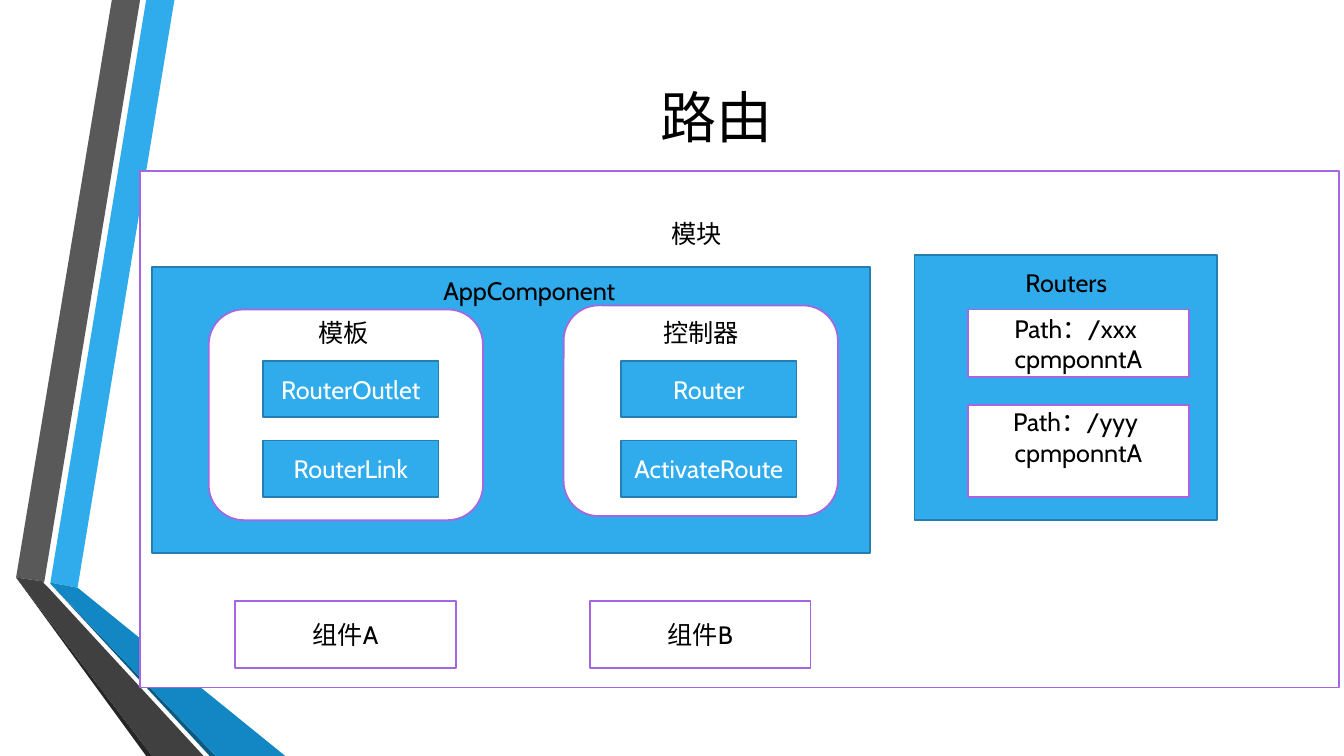
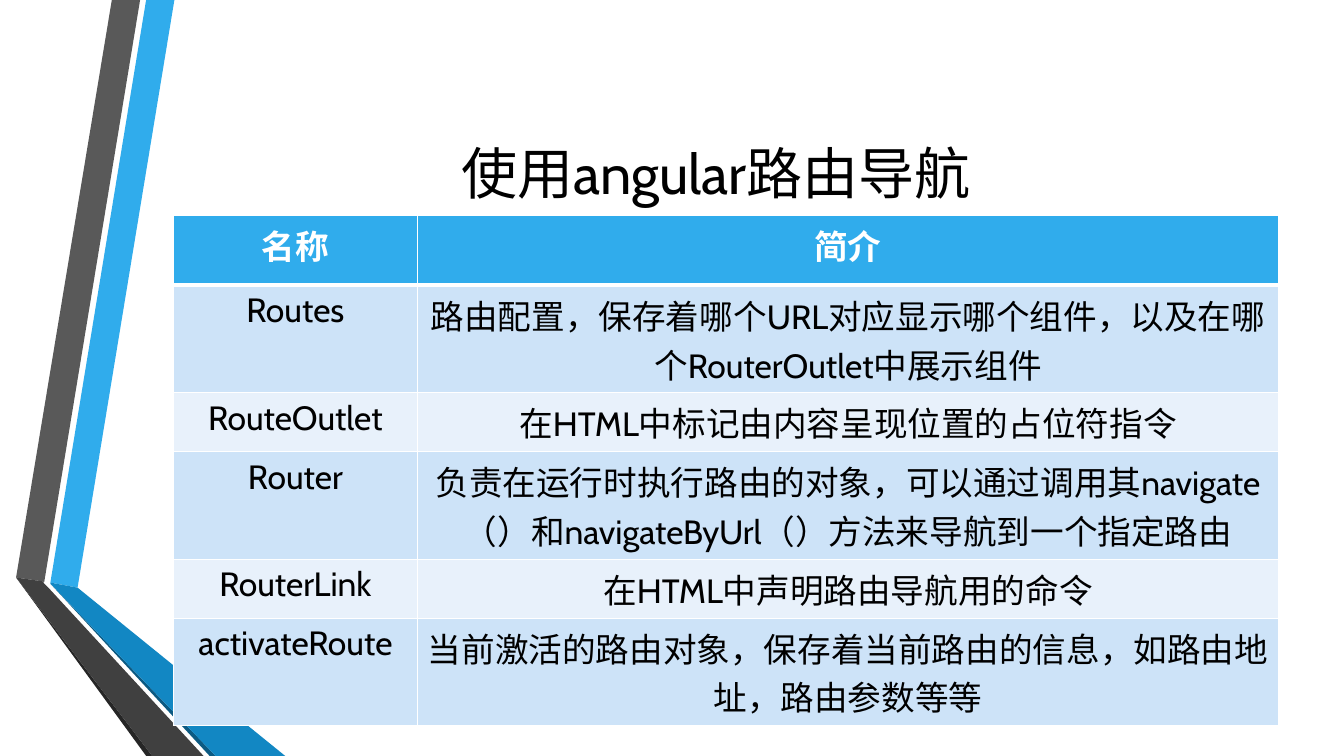
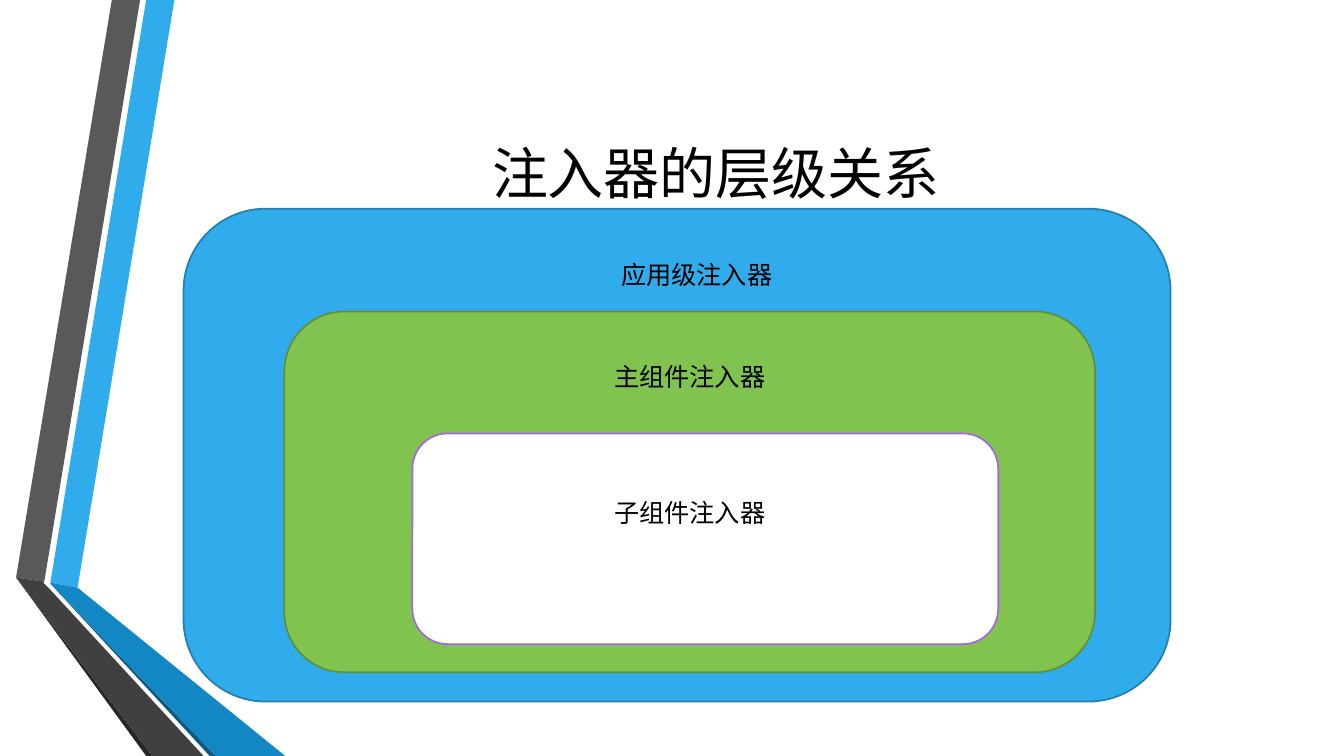
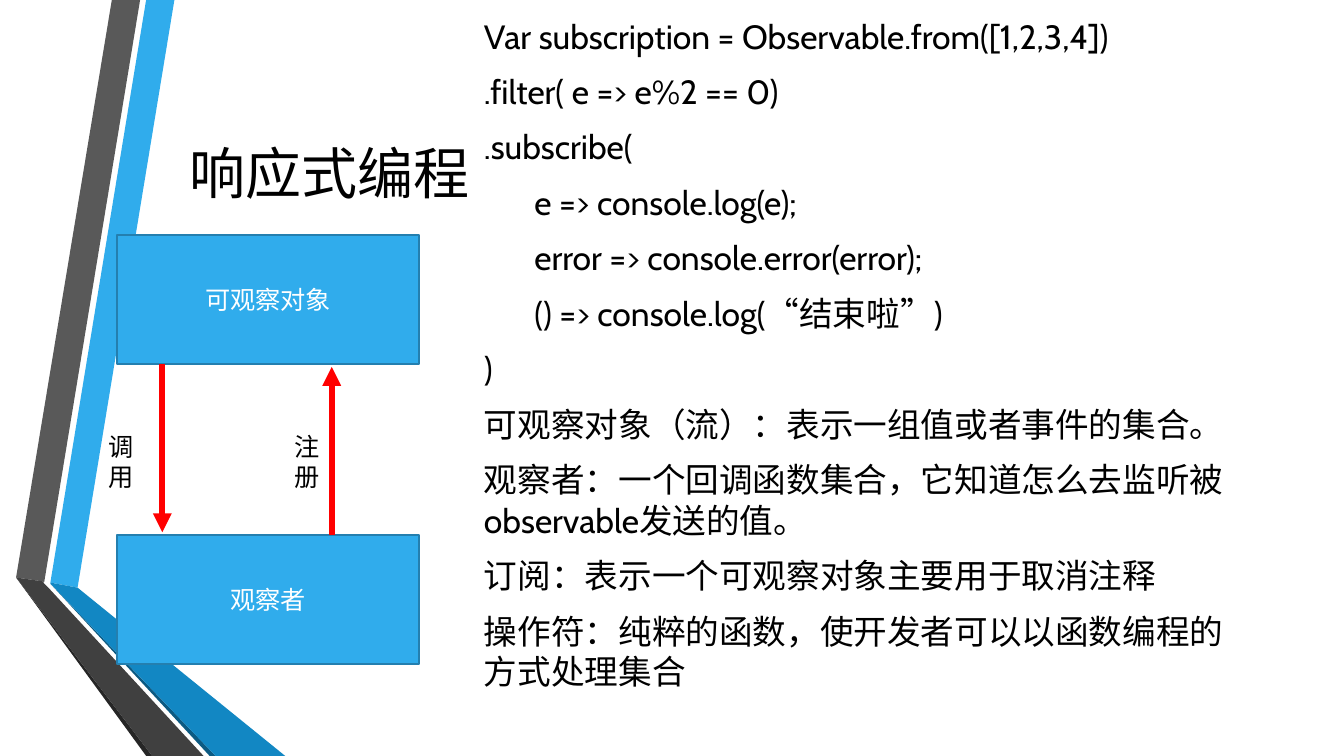
from lxml.etree import SubElement
from pptx import Presentation
from pptx.dml.color import RGBColor
from pptx.enum.shapes import MSO_CONNECTOR as Connector, MSO_SHAPE as Preset
from pptx.enum.text import MSO_ANCHOR as Anchor, MSO_AUTO_SIZE as AutoSize, PP_ALIGN as Align
from pptx.oxml.ns import qn
from pptx.util import Pt

PX = 9144  # 100 px to the inch
FONT = "Cabin"
COLORS = {
    "black": "000000", "white": "FFFFFF", "red": "FF0000",
    "blue": "30ACEC", "blue_edge": "247FAF", "green": "80C34F", "green_edge": "5F903A",
    "purple": "A666E1", "gray": "595959", "dark_gray": "404040", "shade": "262626",
    "deep_blue": "1287C3", "blue_shade": "0C5A82",
    "row_dark": "CDE3F8", "row_light": "E8F1FB",
}
# Box styles: fill, line, text colour
BLUE = ("blue", "blue_edge", "white")
GREEN = ("green", "green_edge", "black")
WHITE = ("white", "purple", "black")

RIBBONS = [
    ("blue", [(50, 578), (77, 583), (173, 0), (145, 0)]),
    ("gray", [(139, 0), (111, 0), (16, 573), (44, 577)]),
    ("shade", [(16, 573), (145, 750), (151, 750)]),
    ("blue_shade", [(50, 579), (208, 750), (214, 750)]),
    ("deep_blue", [(50, 579), (214, 750), (283, 750), (77, 583), (50, 578)]),
    ("dark_gray", [(202, 750), (48, 583), (43, 578), (44, 577), (16, 573), (151, 750)]),
]
TABLE_ROWS = [
    ("名称", "简介"),
    ("Routes", "路由配置，保存着哪个URL对应显示哪个组件，以及在哪个RouterOutlet中展示组件"),
    ("RouteOutlet", "在HTML中标记由内容呈现位置的占位符指令"),
    ("Router", "负责在运行时执行路由的对象，可以通过调用其navigate（）和navigateByUrl（）方法来导航到一个指定路由"),
    ("RouterLink", "在HTML中声明路由导航用的命令"),
    ("activateRoute", "当前激活的路由对象，保存着当前路由的信息，如路由地址，路由参数等等"),
]
NOTES = [
    "Var subscription = Observable.from([1,2,3,4])",
    ".filter( e => e%2 == 0)",
    ".subscribe(",
    "\te => console.log(e);",
    "\terror => console.error(error);",
    "\t() => console.log(“结束啦”)",
    ")",
    "可观察对象（流）：表示一组值或者事件的集合。",
    "观察者：一个回调函数集合，它知道怎么去监听被observable发送的值。",
    "订阅：表示一个可观察对象主要用于取消注释",
    "操作符：纯粹的函数，使开发者可以以函数编程的方式处理集合",
]


# Shared helpers
def rgb(name):
    return RGBColor.from_string(COLORS[name])


def emu(box):
    return [length * PX for length in box]


def place(shape, box):
    shape.left, shape.top, shape.width, shape.height = emu(box)


def write(frame, lines, size=18, color="black", align=Align.CENTER, bold=False):
    """Fill a text frame with one single-run paragraph per line."""
    for index, line in enumerate(lines):
        paragraph = frame.paragraphs[0] if index == 0 else frame.add_paragraph()
        paragraph.alignment = align
        run = paragraph.add_run()
        run.text = line
        run.font.name, run.font.size, run.font.bold = FONT, Pt(size), bold
        run.font.color.rgb = rgb(color)


def add_box(slide, box, style, lines=(), preset=Preset.RECTANGLE):
    fill, edge, color = style
    shape = slide.shapes.add_shape(preset, *emu(box))
    shape.shadow.inherit = False
    shape.fill.solid()
    shape.fill.fore_color.rgb = rgb(fill)
    shape.line.color.rgb = rgb(edge)
    shape.line.width = Pt(1.25)
    shape.text_frame.vertical_anchor = Anchor.MIDDLE
    write(shape.text_frame, lines, color=color)
    return shape


def add_label(slide, box, text, align=Align.CENTER):
    frame = slide.shapes.add_textbox(*emu(box)).text_frame
    frame.word_wrap = True
    write(frame, [text], align=align)


def add_titled_slide(presentation, title, box=(162, 75, 1096, 192), layout=5):
    slide = presentation.slides.add_slide(presentation.slide_layouts[layout])
    place(slide.shapes.title, box)
    frame = slide.shapes.title.text_frame
    frame.auto_size = AutoSize.NONE
    frame.vertical_anchor = Anchor.MIDDLE
    write(frame, [title], size=40)
    return slide


def add_ribbons(presentation, slide):
    """Draw the folded ribbons and move them to the master, behind its placeholders."""
    master_tree = presentation.slide_master.shapes.element
    for index, (color, points) in enumerate(RIBBONS):
        builder = slide.shapes.build_freeform(*points[0], scale=PX)
        builder.add_line_segments(points[1:], close=True)
        ribbon = builder.convert_to_shape()
        ribbon.shadow.inherit = False
        ribbon.fill.solid()
        ribbon.fill.fore_color.rgb = rgb(color)
        ribbon.line.fill.background()
        master_tree.insert(2 + index, ribbon.element)


# Routing diagram
def add_card(slide, box, inset, label, items):
    left, top = box[0] + inset[0], box[1] + inset[1]
    add_box(slide, box, WHITE, preset=Preset.ROUNDED_RECTANGLE)
    add_label(slide, (left + 1, top - 48, 157, 40), label)
    for index, item in enumerate(items):
        add_box(slide, (left, top + 79 * index, 174, 56), BLUE, [item])


def add_app_component(slide, box):
    left, top = box[:2]
    add_box(slide, box, BLUE)
    add_label(slide, (left + 279, top + 3, 216, 40), "AppComponent", Align.LEFT)
    add_card(slide, (left + 56, top + 42, 272, 209), (54, 51), "模板", ["RouterOutlet", "RouterLink"])
    add_card(slide, (left + 408, top + 38, 272, 209), (57, 55), "控制器", ["Router", "ActivateRoute"])


def add_routers(slide, box):
    left, top = box[:2]
    add_box(slide, box, BLUE)
    add_label(slide, (left + 72, top + 7, 157, 40), "Routers")
    add_box(slide, (left + 53, top + 54, 219, 67), WHITE, ["Path：/xxx ", "cpmponntA"])
    route = add_box(slide, (left + 53, top + 149, 219, 91), WHITE, ["Path：/yyy ", "cpmponntA"])
    route.text_frame.margin_bottom = 33 * PX


def add_module(slide, box):
    left, top = box[:2]
    add_box(slide, box, WHITE)
    add_label(slide, (left + 438, top + 42, 228, 40), "模块")
    add_app_component(slide, (left + 12, top + 95, 712, 284))
    add_routers(slide, (left + 768, top + 83, 300, 263))
    for index, name in enumerate(["组件A", "组件B"]):
        add_box(slide, (left + 94 + 352 * index, top + 426, 219, 67), WHITE, [name])


# Table
def set_borders(cell, top, bottom):
    properties = cell._tc.get_or_add_tcPr()
    for tag, width in (("lnL", 1), ("lnR", 1), ("lnT", top), ("lnB", bottom)):
        line = SubElement(properties, qn("a:" + tag), w=str(Pt(width)))
        fill = SubElement(line, qn("a:solidFill"))
        SubElement(fill, qn("a:srgbClr"), val=COLORS["white"])


def add_route_table(slide, box):
    table = slide.shapes.add_table(len(TABLE_ROWS), 2, *emu(box)).table
    for column, width in zip(table.columns, (242, 854)):
        column.width = width * PX
    for index, texts in enumerate(TABLE_ROWS):
        header = index == 0
        table.rows[index].height = (69 if header else 41) * PX
        fill = "blue" if header else "row_dark" if index % 2 else "row_light"
        for cell, text in zip(table.rows[index].cells, texts):
            set_borders(cell, 3 if index == 1 else 1, 3 if header else 1)
            cell.fill.solid()
            cell.fill.fore_color.rgb = rgb(fill)
            write(cell.text_frame, [text], 24, "white" if header else "black", bold=header)


# Nested injectors
def add_injectors(slide, box):
    left, top, width, height = box
    layers = [
        (box, BLUE, "应用级注入器", (352, 45)),
        ((left + 100, top + 102, 804, 358), GREEN, "主组件注入器", (345, 147)),
        ((left + 227, top + 223, 581, 209), WHITE, "子组件注入器", (345, 281)),
    ]
    for layer, style, text, (x, y) in layers:
        add_box(slide, layer, style, preset=Preset.ROUNDED_RECTANGLE)
        add_label(slide, (left + x, top + y, 314, 40), text)


# Reactive programming
def add_notes(slide, box):
    body = slide.placeholders[1]
    place(body, box)
    frame = body.text_frame
    frame.auto_size = AutoSize.NONE
    frame.vertical_anchor = Anchor.TOP
    write(frame, NOTES, size=24, align=Align.LEFT)
    for index, paragraph in enumerate(frame.paragraphs):
        properties = paragraph._p.get_or_add_pPr()
        properties.set("marL", "0")
        properties.set("indent", "0")
        SubElement(properties, qn("a:buNone"))
        tabs = SubElement(properties, qn("a:tabLst"))
        SubElement(tabs, qn("a:tab"), pos=str(50 * PX), algn="l")
        paragraph.line_spacing = Pt(29)
        paragraph.space_before = Pt(4.6 if index else 0)
        paragraph.space_after = Pt(6)


def add_arrow(slide, x, start, end):
    arrow = slide.shapes.add_connector(Connector.STRAIGHT, *emu((x, start, x, end)))
    arrow.line.color.rgb = rgb("red")
    arrow.line.width = Pt(4.5)
    properties = arrow.element.spPr
    SubElement(properties.find(qn("a:ln")), qn("a:tailEnd"), type="triangle")
    SubElement(properties, qn("a:effectLst"))


def add_observer_flow(slide, box):
    left, top, width, height = box
    bottom = top + height
    for y, name in ((top, "可观察对象"), (bottom - 128, "观察者")):
        add_box(slide, (left, y, width, 128), BLUE, [name])
    add_arrow(slide, left + 45, top + 128, bottom - 131)
    add_arrow(slide, left + 213, bottom - 128, top + 131)
    for x, text in ((left - 18, "调用"), (left + 166, "注册")):
        add_label(slide, (x, top + 190, 60, 71), text, Align.LEFT)


def main():
    presentation = Presentation()
    presentation.slide_width, presentation.slide_height = 1333 * PX, 750 * PX

    slide = add_titled_slide(presentation, "路由", (163, 19, 1096, 192))
    add_ribbons(presentation, slide)
    add_module(slide, (139, 170, 1189, 512))

    slide = add_titled_slide(presentation, "使用angular路由导航")
    add_route_table(slide, (172, 214, 1096, 274))

    slide = add_titled_slide(presentation, "注入器的层级关系")
    add_injectors(slide, (182, 207, 979, 489))

    slide = add_titled_slide(presentation, "响应式编程", (162, 75, 330, 192), layout=1)
    add_notes(slide, (470, 10, 771, 700))
    add_observer_flow(slide, (116, 233, 300, 426))

    presentation.save("out.pptx")


if __name__ == "__main__":
    main()
